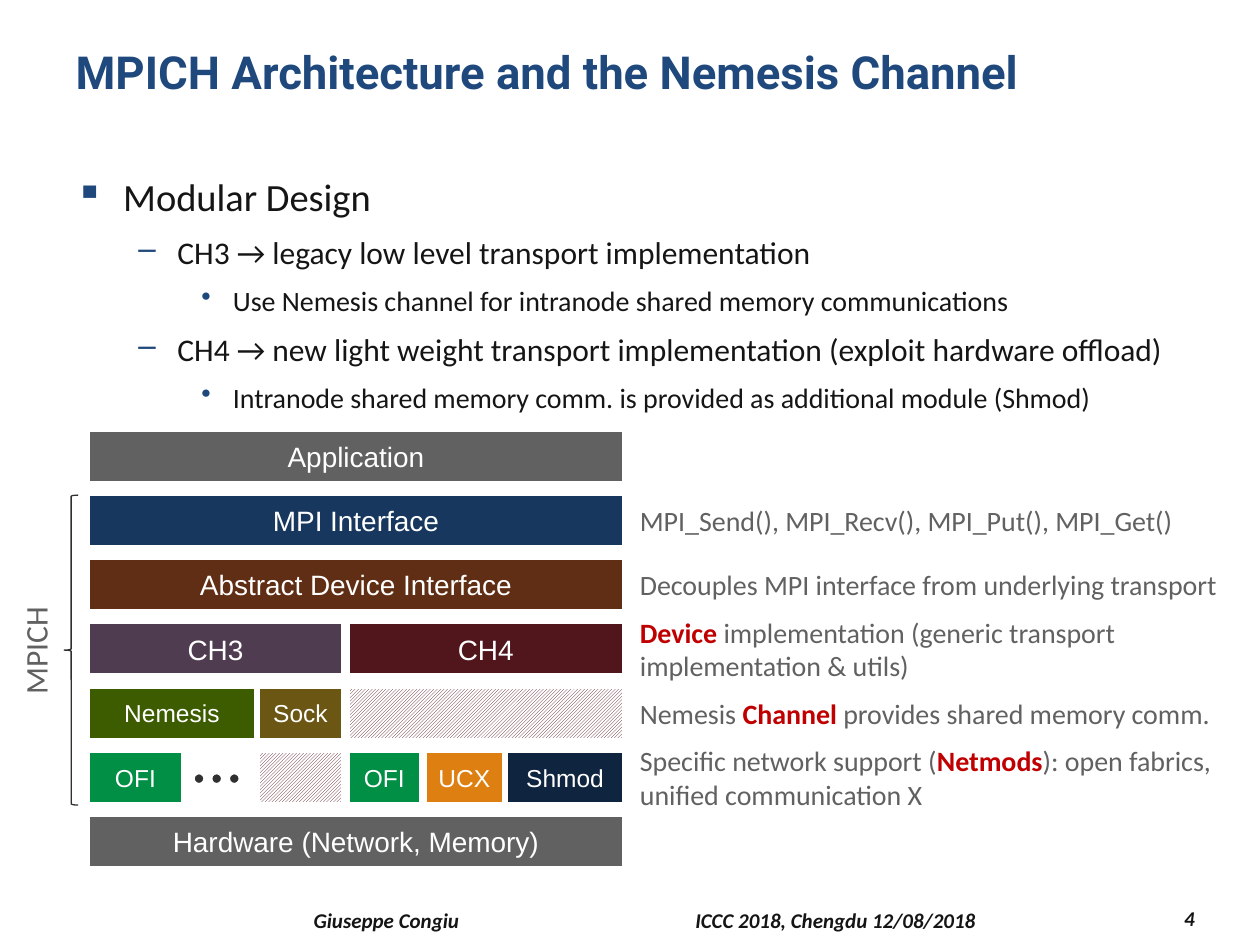
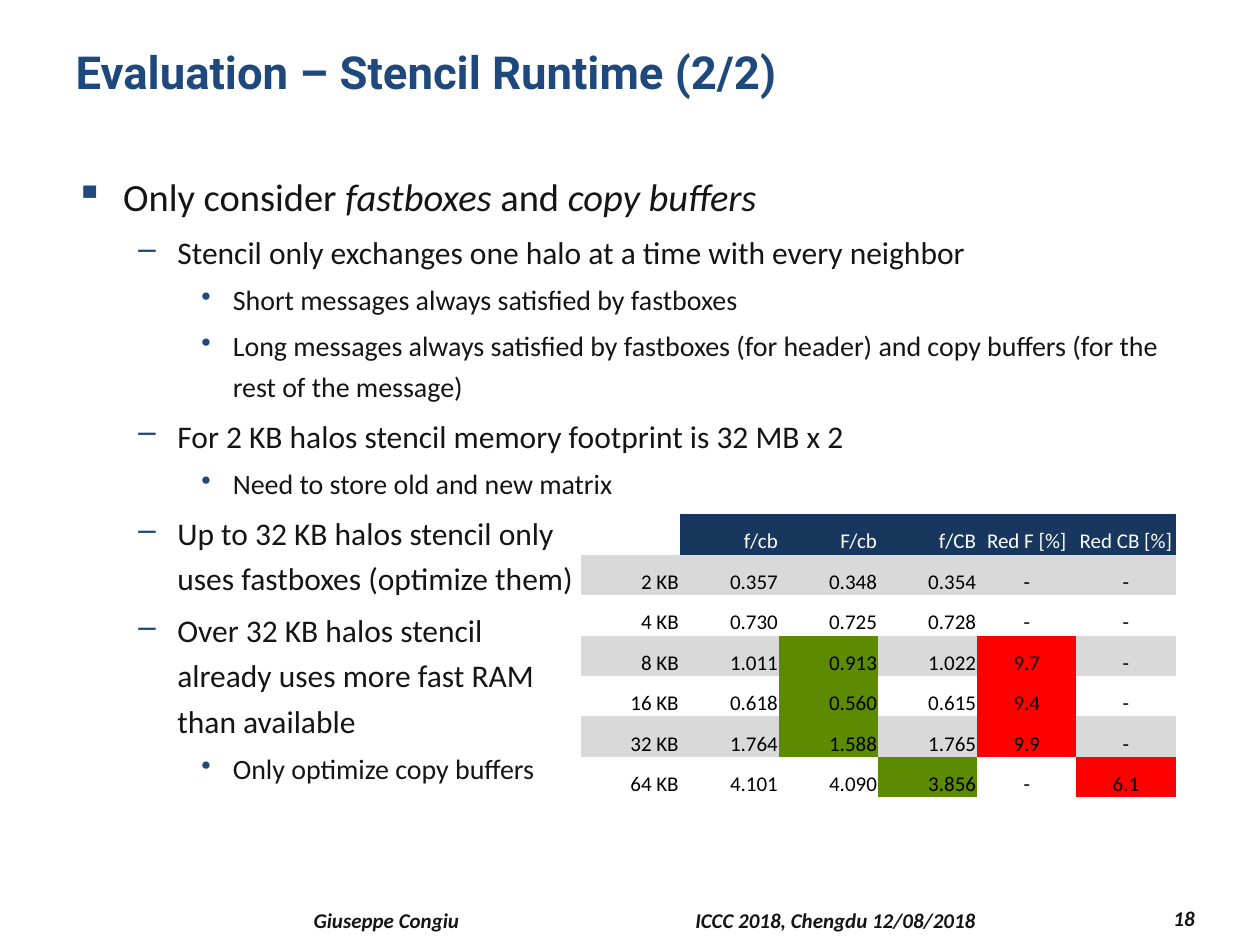
"""Build two slides: the MPICH architecture stack and the stencil runtime table."""
from typing import Any, NamedTuple

import pptx
import pptx.dml.color
import pptx.enum.dml
import pptx.enum.shapes
import pptx.enum.text
import pptx.util
from lxml import etree
from pptx.oxml.ns import qn

Inches = pptx.util.Inches
Pt = pptx.util.Pt
Align = pptx.enum.text.PP_ALIGN
Anchor = pptx.enum.text.MSO_ANCHOR
Shape = pptx.enum.shapes.MSO_SHAPE

COLORS = {
    "title": "1F497D", "text": "151515", "note": "616161", "key": "C00000",
    "white": "FFFFFF", "black": "000000", "dark": "303030", "gray": "616161",
    "navy": "17375E", "brown": "602E14", "plum": "503C51", "wine": "51151C",
    "moss": "3D5C00", "olive": "6C5614", "green": "008F44", "amber": "DE7F11",
    "night": "0F243E", "band": "D9D9D9", "best": "5C8A00", "gain": "FF0000",
}

TITLE = {"name": "Roboto", "size": Pt(26), "bold": True, "color": "title"}
FOOT = {"name": "Calibri", "size": Pt(12), "bold": True, "italic": True, "color": "text"}
NOTE = {"name": "Calibri", "size": Pt(16), "color": "note"}
SIDE = {**NOTE, "size": Pt(18)}
BODY = {"name": "Calibri", "color": "text"}
LABEL = {"name": "Arial", "color": "white"}
CELL = {"name": "Calibri", "size": Pt(12)}
KEY = {"bold": True, "color": "key"}
SLANT = {"italic": True}


class Box(NamedTuple):
    """Position and size in inches."""
    x: float
    y: float
    w: float
    h: float


class Level(NamedTuple):
    """Bullet, size and indents of an outline level."""
    mark: str
    size: int
    left: float
    hang: float


class Item(NamedTuple):
    """Outline paragraph; text between asterisks is stressed."""
    level: int
    text: str


class Block(NamedTuple):
    """Box of the stack, placed by row; an empty label means hatched."""
    row: int
    x: float
    w: float
    color: str
    label: str = ""
    size: int = 16


class Note(NamedTuple):
    """Remark beside a row of the stack."""
    row: int
    text: str


LEVELS = [Level("▪", 22, 0.38, 0.38), Level("–", 18, 0.81, 0.31), Level("•", 16, 1.25, 0.25)]

DESIGN = [
    Item(0, "Modular Design"),
    Item(1, "CH3 → legacy low level transport implementation"),
    Item(2, "Use Nemesis channel for intranode shared memory communications"),
    Item(1, "CH4 → new light weight transport implementation (exploit hardware offload)"),
    Item(2, "Intranode shared memory comm. is provided as additional module (Shmod)"),
]

STENCIL = [
    Item(0, "Only consider *fastboxes* and *copy buffers*"),
    Item(1, "Stencil only exchanges one halo at a time with every neighbor"),
    Item(2, "Short messages always satisfied by fastboxes"),
    Item(2, "Long messages always satisfied by fastboxes (for header) and copy buffers "
            "(for the rest of the message)"),
    Item(1, "For 2 KB halos stencil memory footprint is 32 MB x 2"),
    Item(2, "Need to store old and new matrix"),
    Item(1, "Up to 32 KB halos stencil only\nuses fastboxes (optimize them)"),
    Item(1, "Over 32 KB halos stencil\nalready uses more fast RAM\nthan available"),
    Item(2, "Only optimize copy buffers"),
]

TOP, STEP, HIGH = 3.41, 0.51, 0.42
LEFT, WIDE = 0.7, 4.25
STACK = [
    Block(0, LEFT, WIDE, "gray", "Application"),
    Block(1, LEFT, WIDE, "navy", "MPI Interface"),
    Block(2, LEFT, WIDE, "brown", "Abstract Device Interface"),
    Block(3, LEFT, 2.02, "plum", "CH3"),
    Block(3, 2.76, 2.19, "wine", "CH4"),
    Block(4, LEFT, 1.33, "moss", "Nemesis", 14),
    Block(4, 2.05, 0.67, "olive", "Sock", 14),
    Block(4, 2.76, 2.19, "wine"),
    Block(5, LEFT, 0.75, "green", "OFI", 14),
    Block(5, 2.05, 0.67, "wine"),
    Block(5, 2.76, 0.58, "green", "OFI", 14),
    Block(5, 3.37, 0.63, "amber", "UCX", 14),
    Block(5, 4.02, 0.93, "night", "Shmod", 14),
    Block(6, LEFT, WIDE, "gray", "Hardware (Network, Memory)"),
]

NOTES = [
    Note(1, "MPI_Send(), MPI_Recv(), MPI_Put(), MPI_Get()"),
    Note(2, "Decouples MPI interface from underlying transport"),
    Note(3, "*Device* implementation (generic transport implementation & utils)"),
    Note(4, "Nemesis *Channel* provides shared memory comm."),
    Note(5, "Specific network support (*Netmods*): open fabrics, unified communication X"),
]

TIMES = [
    ["", "f/cb", "F/cb", "f/CB", "Red F [%]", "Red CB [%]"],
    ["2 KB", "0.357", "0.348", "0.354", "-", "-"],
    ["4 KB", "0.730", "0.725", "0.728", "-", "-"],
    ["8 KB", "1.011", "0.913", "1.022", "9.7", "-"],
    ["16 KB", "0.618", "0.560", "0.615", "9.4", "-"],
    ["32 KB", "1.764", "1.588", "1.765", "9.9", "-"],
    ["64 KB", "4.101", "4.090", "3.856", "-", "6.1"],
]
BEST = {(3, 2), (4, 2), (5, 2), (6, 3)}
PLAIN = "{2D5ABB26-0587-4C30-8999-92F81FD0307C}"


def tint(name: str) -> Any:
    """Return the named colour."""
    return pptx.dml.color.RGBColor.from_string(COLORS[name])


def style(font: Any, look: dict) -> None:
    """Apply format values to a font."""
    for name, value in look.items():
        if name == "color":
            font.color.rgb = tint(value)
        else:
            setattr(font, name, value)


def write(para: Any, text: str, look: dict, stress: dict) -> None:
    """Write text in a paragraph, stressing the parts between asterisks."""
    for part, piece in enumerate(text.split("*")):
        for line, words in enumerate(piece.split("\n")):
            if line:
                para.add_line_break()
            if words:
                run = para.add_run()
                run.text = words
                style(run.font, {**look, **stress} if part % 2 else look)


def place(box: Box) -> tuple:
    """Convert a box to lengths."""
    return tuple(Inches(side) for side in box)


def add_text(slide: Any, box: Box, text: str, look: dict, align: Any = Align.LEFT,
             wrap: bool = True, anchor: Any = Anchor.MIDDLE) -> Any:
    """Add a text box with one paragraph."""
    shape = slide.shapes.add_textbox(*place(box))
    frame = shape.text_frame
    frame.word_wrap, frame.vertical_anchor = wrap, anchor
    frame.paragraphs[0].alignment = align
    write(frame.paragraphs[0], text, look, KEY)
    return shape


def add_list(slide: Any, box: Box, items: list[Item]) -> None:
    """Add a bulleted outline."""
    frame = slide.shapes.add_textbox(*place(box)).text_frame
    frame.word_wrap = True
    for index, item in enumerate(items):
        level = LEVELS[item.level]
        para = frame.add_paragraph() if index else frame.paragraphs[0]
        para.level = item.level
        props = para._p.get_or_add_pPr()
        props.set("marL", str(Inches(level.left)))
        props.set("indent", str(-Inches(level.hang)))
        color = etree.SubElement(props, qn("a:buClr"))
        etree.SubElement(color, qn("a:srgbClr"), val=COLORS["title"])
        etree.SubElement(props, qn("a:buChar"), char=level.mark)
        para.line_spacing = 1.2
        para.space_before = Pt(level.size * 0.2 if index else 0)
        write(para, item.text, {**BODY, "size": Pt(level.size)}, SLANT)


def add_shape(slide: Any, kind: Any, box: Box, fill: str = "", line: str = "white",
              width: float = 2.25) -> Any:
    """Add an outlined shape without shadow."""
    shape = slide.shapes.add_shape(kind, *place(box))
    shape.shadow.inherit = False
    if fill:
        shape.fill.solid()
        shape.fill.fore_color.rgb = tint(fill)
    else:
        shape.fill.background()
    shape.line.color.rgb = tint(line)
    shape.line.width = Pt(width)
    return shape


def add_block(slide: Any, block: Block) -> None:
    """Add a labelled or hatched box of the stack."""
    box = Box(block.x, TOP + STEP * block.row, block.w, HIGH)
    shape = add_shape(slide, Shape.RECTANGLE, box, block.color)
    if not block.label:
        shape.fill.patterned()
        shape.fill.pattern = pptx.enum.dml.MSO_PATTERN.LIGHT_UPWARD_DIAGONAL
        shape.fill.fore_color.rgb = tint(block.color)
        shape.fill.back_color.rgb = tint("white")
        return
    frame = shape.text_frame
    frame.margin_left = frame.margin_right = 0
    frame.vertical_anchor = Anchor.MIDDLE
    frame.paragraphs[0].alignment = Align.CENTER
    write(frame.paragraphs[0], block.label, {**LABEL, "size": Pt(block.size)}, {})


def shade(row: int, col: int) -> str:
    """Name the fill of a table cell, or nothing."""
    if row == 0:
        return "navy" if col else ""
    if (row, col) in BEST:
        return "best"
    if col > 3 and TIMES[row][col] != "-":
        return "gain"
    return "band" if row % 2 else ""


def add_times(slide: Any, box: Box) -> None:
    """Add the table of run times."""
    holder = slide.shapes.add_table(len(TIMES), len(TIMES[0]), *place(box))
    holder.element.xpath(".//a:tableStyleId")[0].text = PLAIN
    table = holder.table
    table.first_row = table.horz_banding = False
    for row, values in enumerate(TIMES):
        for col, value in enumerate(values):
            cell = table.cell(row, col)
            cell.margin_left = cell.margin_right = cell.margin_top = Inches(0.01)
            cell.margin_bottom = 0
            cell.vertical_anchor = Anchor.BOTTOM
            fill = shade(row, col)
            if fill:
                cell.fill.solid()
                cell.fill.fore_color.rgb = tint(fill)
            else:
                cell.fill.background()
            para = cell.text_frame.paragraphs[0]
            para.alignment = Align.CENTER if col > 3 else Align.RIGHT
            write(para, value, {**CELL, "color": "black" if row else "white"}, {})


def add_slide(deck: Any, title: str, page: int) -> Any:
    """Add a slide with its title and footer."""
    slide = deck.slides.add_slide(deck.slide_layouts[5])
    head = slide.shapes.title
    head.left, head.top, head.width, head.height = place(Box(0.5, 0.3, 9, 0.87))
    frame = head.text_frame
    frame.auto_size = pptx.enum.text.MSO_AUTO_SIZE.NONE
    frame.vertical_anchor = Anchor.TOP
    frame.paragraphs[0].alignment = Align.LEFT
    write(frame.paragraphs[0], title, TITLE, {})
    add_text(slide, Box(2.39, 7.17, 1.5, 0.27), "Giuseppe Congiu", FOOT)
    add_text(slide, Box(5.42, 7.17, 2.67, 0.27), "ICCC 2018, Chengdu 12/08/2018", FOOT)
    add_text(slide, Box(8.5, 7.15, 1.08, 0.27), str(page), FOOT, Align.RIGHT)
    return slide


def main() -> None:
    """Build and save the deck."""
    deck = pptx.Presentation()
    deck.slide_width, deck.slide_height = Inches(10), Inches(7.5)

    slide = add_slide(deck, "MPICH Architecture and the Nemesis Channel", 4)
    add_shape(slide, Shape.LEFT_BRACE, Box(0.51, 3.93, 0.11, 2.46), line="dark", width=0.75)
    side = add_text(slide, Box(-0.17, 4.96, 0.9, 0.4), "MPICH", SIDE, wrap=False, anchor=Anchor.TOP)
    side.rotation = 270
    for note in NOTES:
        add_text(slide, Box(4.98, TOP + STEP * note.row, 4.85, HIGH), note.text, NOTE)
    add_list(slide, Box(0.5, 1.25, 9, 2.18), DESIGN)
    for block in STACK:
        add_block(slide, block)
    for dot in range(3):
        add_shape(slide, Shape.OVAL, Box(1.53 + 0.14 * dot, 6.13, 0.1, 0.1), "dark")

    slide = add_slide(deck, "Evaluation – Stencil Runtime (2/2)", 18)
    add_list(slide, Box(0.5, 1.25, 8.83, 5.9), STENCIL)
    add_times(slide, Box(4.61, 4.08, 4.72, 2.25))
    deck.save("out.pptx")


if __name__ == "__main__":
    main()
